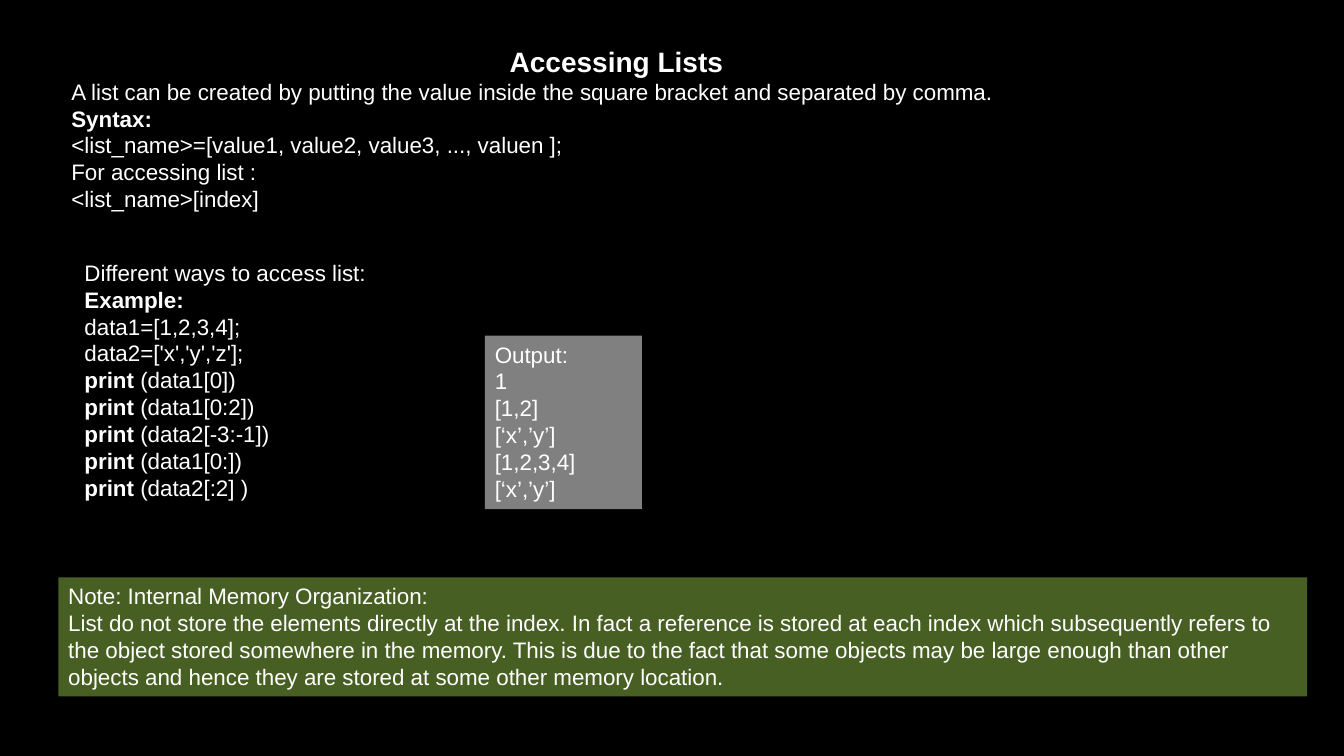
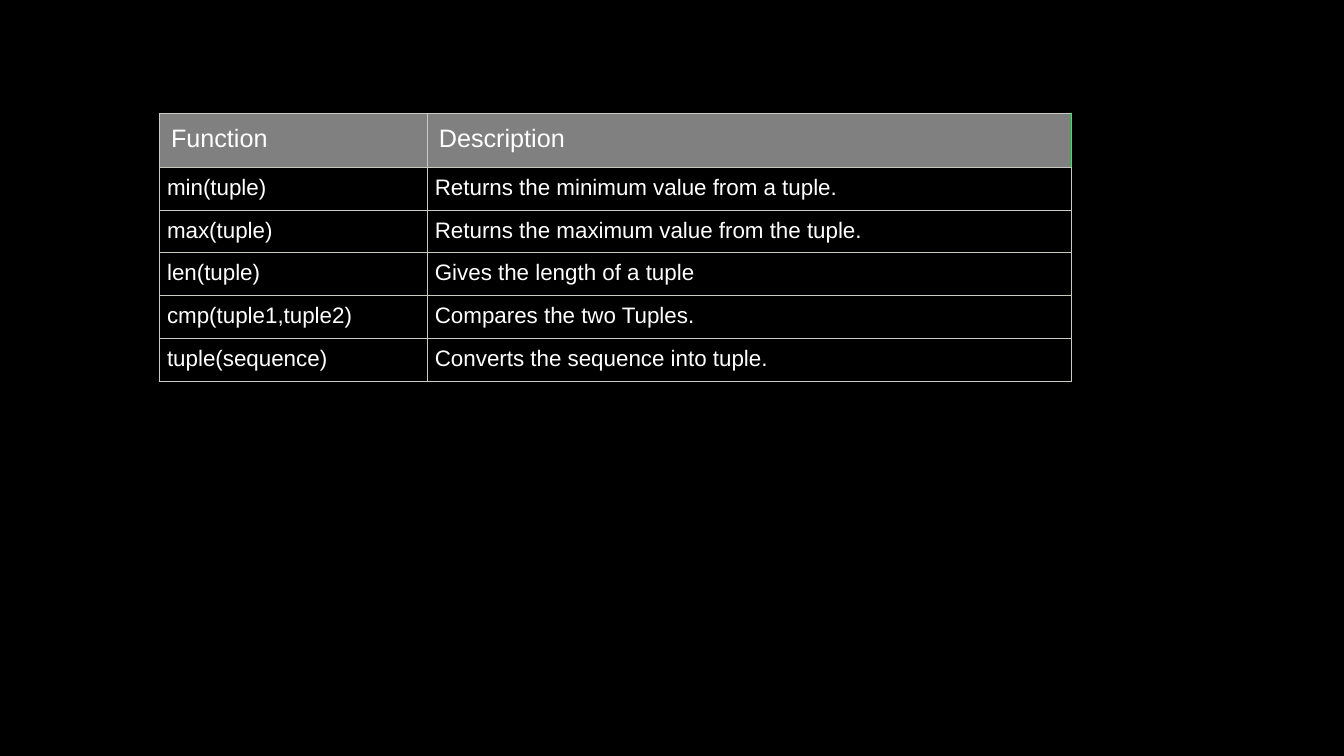
from lxml import etree
from pptx import Presentation
from pptx import util as u
from pptx.dml import color
from pptx.enum import shapes, text
from pptx.oxml import ns

COLORS = {
    "background": "000000",
    "text": "FFFFFF",
    "panel": "808080",
    "note": "485F24",
    "grid": "C7CCBE",
    "accent": "20F152",
}
JUSTIFY = text.PP_ALIGN.JUSTIFY
LEFT = text.PP_ALIGN.LEFT


class SlideBuilder:
    font_name = "Arial"
    title_size = 20
    header_size = 18
    body_size = 16

    def __init__(self, deck):
        self.deck = deck
        self.slide = None

    def rgb(self, name):
        return color.RGBColor.from_string(COLORS[name])

    def new_slide(self):
        self.slide = self.deck.slides.add_slide(self.deck.slide_layouts[6])
        fill = self.slide.background.fill
        fill.solid()
        fill.fore_color.rgb = self.rgb("background")

    def style(self, para, size, align, bold=False):
        para.alignment = align
        for span in para.runs:
            span.font.name = self.font_name
            span.font.size = u.Pt(size)
            span.font.bold = bold
            span.font.color.rgb = self.rgb("text")

    def fill_text(self, box, lines, align, title=None):
        frame = box.text_frame
        frame.word_wrap = True
        frame.vertical_anchor = text.MSO_ANCHOR.TOP
        spans = [line if isinstance(line, tuple) else ("", line) for line in lines]
        frame.text = "\n".join(([title] if title else []) + [a + b for a, b in spans])
        paras = list(frame.paragraphs)
        if title:
            self.style(paras.pop(0), self.title_size, text.PP_ALIGN.CENTER, True)
        for para, (strong, plain) in zip(paras, spans):
            if strong and plain:
                para.runs[0].text = strong
                para.add_run().text = plain
            self.style(para, self.body_size, align)
            if strong:
                para.runs[0].font.bold = True

    def text_box(self, area, lines, title=None):
        box = self.slide.shapes.add_textbox(*map(u.Cm, area))
        self.fill_text(box, lines, JUSTIFY, title)

    def panel(self, area, lines, fill):
        box = self.slide.shapes.add_shape(
            shapes.MSO_SHAPE.RECTANGLE, *map(u.Cm, area))
        box.shadow.inherit = False
        box.fill.solid()
        box.fill.fore_color.rgb = self.rgb(fill)
        box.line.fill.background()
        self.fill_text(box, lines, LEFT)

    def border(self, cell, side, name):
        line = etree.SubElement(
            cell._tc.get_or_add_tcPr(), ns.qn("a:ln" + side), w=str(u.Pt(0.75)))
        fill = etree.SubElement(line, ns.qn("a:solidFill"))
        etree.SubElement(fill, ns.qn("a:srgbClr"), val=COLORS[name])

    def cell(self, cell, words, is_header, is_last):
        for side in "LRTB":
            accent = is_header and is_last and side == "R"
            self.border(cell, side, "accent" if accent else "grid")
        if is_header:
            cell.fill.solid()
            cell.fill.fore_color.rgb = self.rgb("panel")
        else:
            cell.fill.background()
        margin = u.Cm(0.3 if is_header else 0.2)
        cell.margin_left = cell.margin_right = margin
        cell.margin_top = cell.margin_bottom = margin
        cell.text_frame.text = words
        self.style(cell.text_frame.paragraphs[0],
                   self.header_size if is_header else self.body_size,
                   LEFT if is_header else JUSTIFY)

    def table(self, left, top, widths, header_height, row_height, rows):
        heights = [header_height] + [row_height] * (len(rows) - 1)
        area = (left, top, sum(widths), sum(heights))
        table = self.slide.shapes.add_table(
            len(rows), len(widths), *map(u.Cm, area)).table
        table.first_row = table.horz_banding = False
        for column, width in zip(table.columns, widths):
            column.width = u.Cm(width)
        for r, (row, height) in enumerate(zip(rows, heights)):
            table.rows[r].height = u.Cm(height)
            for c, words in enumerate(row):
                self.cell(table.cell(r, c), words, r == 0, c == len(row) - 1)


def lists_slide(page):
    page.new_slide()
    page.text_box((1.55, 0.99, 27.97, 4.52), [
        "A list can be created by putting the value inside the square bracket "
        "and separated by comma.",
        ("Syntax:", ""),
        "<list_name>=[value1, value2, value3, ..., valuen ];",
        "For accessing list :",
        "<list_name>[index]",
    ], title="Accessing Lists")
    calls = ["(data1[0])", "(data1[0:2])", "(data2[-3:-1])", "(data1[0:])",
             "(data2[:2] )"]
    page.text_box((1.88, 6.4, 16.94, 6.4), [
        "Different ways to access list:",
        ("Example:", ""),
        "data1=[1,2,3,4];",
        "data2=['x','y','z'];",
    ] + [("print", " " + call) for call in calls])
    page.panel((12.22, 8.46, 3.96, 4.37), [
        "Output:", "1", "[1,2]", "[‘x’,’y’]", "[1,2,3,4]", "[‘x’,’y’]",
    ], "panel")
    page.panel((1.47, 14.55, 31.47, 3), [
        "Note: Internal Memory Organization:",
        "List do not store the elements directly at the index. In fact a "
        "reference is stored at each index which subsequently refers to the "
        "object stored somewhere in the memory. This is due to the fact that "
        "some objects may be large enough than other objects and hence they "
        "are stored at some other memory location.",
    ], "note")


def tuples_slide(page):
    page.new_slide()
    page.table(4.01, 2.85, (6.75, 16.25), 1.34, 1.05, [
        ("Function", "Description"),
        ("min(tuple)", "Returns the minimum value from a tuple."),
        ("max(tuple)", "Returns the maximum value from the tuple."),
        ("len(tuple)", "Gives the length of a tuple"),
        ("cmp(tuple1,tuple2)", "Compares the two Tuples."),
        ("tuple(sequence)", "Converts the sequence into tuple."),
    ])


def main():
    deck = Presentation()
    deck.slide_width = u.Cm(33.87)
    deck.slide_height = u.Cm(19.05)
    page = SlideBuilder(deck)
    lists_slide(page)
    tuples_slide(page)
    deck.save("out.pptx")


if __name__ == "__main__":
    main()
